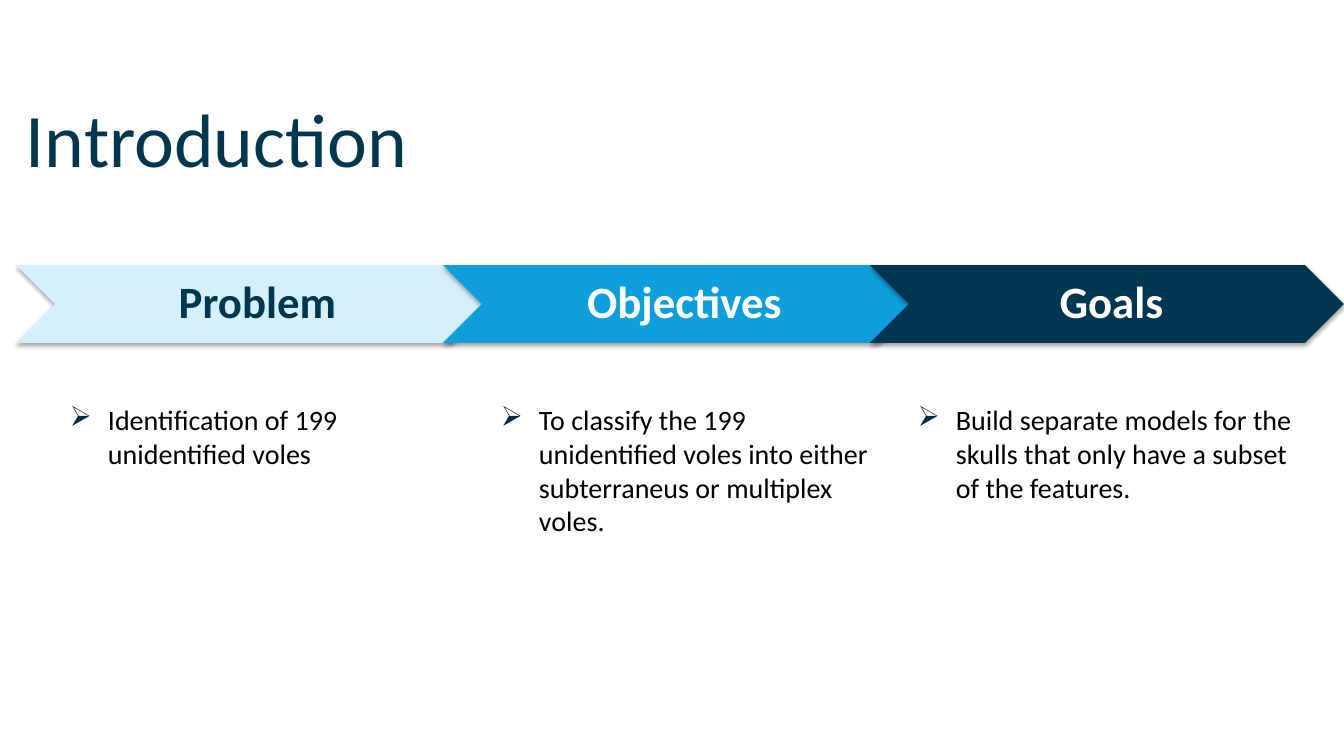
from lxml.etree import SubElement
from pptx import Presentation
from pptx.dml.color import RGBColor
from pptx.enum.shapes import MSO_SHAPE as Shape
from pptx.enum.text import MSO_ANCHOR as Anchor, PP_ALIGN as Align
from pptx.oxml.ns import qn
from pptx.util import Emu, Pt

TITLE = "Introduction"
NAVY = "003750"
# heading, fill, heading colour, left edge of the text, text
STEPS = [
    ("Problem", "D4F0FB", NAVY, 36,
     "Identification of 199 unidentified voles"),
    ("Objectives", "0E9EDB", "FFFFFF", 467,
     "To classify the 199 unidentified voles into either subterraneus "
     "or multiplex voles."),
    ("Goals", NAVY, "FFFFFF", 884,
     "Build separate models for the skulls that only have a subset "
     "of the features."),
]
LEFT, TOP, STEP, WIDE, HIGH = 16, 265, 427, 474, 78
INSET, LABEL = 39, 396


def px(n):
    return Emu(round(n * 914400 / 100.8))


def rgb(code):
    return RGBColor.from_string(code)


def frame(box, anchor, left=10, right=10):
    text = box.text_frame
    text.word_wrap = True
    text.vertical_anchor = anchor
    text.margin_left, text.margin_right = px(left), px(right)
    text.margin_top = text.margin_bottom = px(5)
    return text.paragraphs[0]


def write(para, words, size, color, bold=False):
    run = para.add_run()
    run.text = words
    font = run.font
    font.name, font.size, font.bold = "Calibri", Pt(size), bold
    font.color.rgb = rgb(color)


def shade(shape):
    """Give the shape a soft shadow straight below it."""
    shape.shadow.inherit = False
    effects = shape._element.spPr.find(qn("a:effectLst"))
    outer = SubElement(effects, qn("a:outerShdw"), blurRad=str(Pt(3.1)),
                       dist=str(Pt(1.8)), dir="5400000", rotWithShape="0")
    black = SubElement(outer, qn("a:srgbClr"), val="000000")
    SubElement(black, qn("a:alpha"), val="35000")


def bullet(para):
    props = para._p.get_or_add_pPr()
    props.set("marL", str(px(62)))
    props.set("indent", str(px(-38)))
    color = SubElement(props, qn("a:buClr"))
    SubElement(color, qn("a:srgbClr"), val="002C43")
    SubElement(props, qn("a:buFont"), typeface="Wingdings", charset="2")
    SubElement(props, qn("a:buChar"), char="Ø")


def chevron(shapes, x, fill):
    arrow = shapes.add_shape(Shape.CHEVRON, px(x), px(TOP), px(WIDE), px(HIGH))
    arrow.adjustments[0] = 0.5
    arrow.fill.solid()
    arrow.fill.fore_color.rgb = rgb(fill)
    arrow.line.fill.background()
    shade(arrow)


def main():
    deck = Presentation()
    deck.slide_width, deck.slide_height = px(1344), px(756)
    shapes = deck.slides.add_slide(deck.slide_layouts[5]).shapes

    title = shapes.title
    title.left, title.top, title.width, title.height = map(
        px, (16, 77, 1008, 112))
    para = frame(title, Anchor.BOTTOM)
    para.alignment, para.line_spacing = Align.LEFT, 0.9
    write(para, TITLE, 54, NAVY)

    for i, (head, fill, color, left, words) in enumerate(STEPS):
        x = LEFT + i * STEP
        chevron(shapes, x, fill)
        label = shapes.add_textbox(px(x + INSET), px(TOP), px(LABEL), px(HIGH))
        para = frame(label, Anchor.MIDDLE, 14, 5)
        para.alignment, para.line_spacing = Align.CENTER, 0.9
        write(para, head, 32, color, True)

        body = shapes.add_textbox(px(left), px(398), px(426), px(280))
        para = frame(body, Anchor.TOP)
        bullet(para)
        write(para, words, 20, "000000")

    deck.save("out.pptx")


if __name__ == "__main__":
    main()
